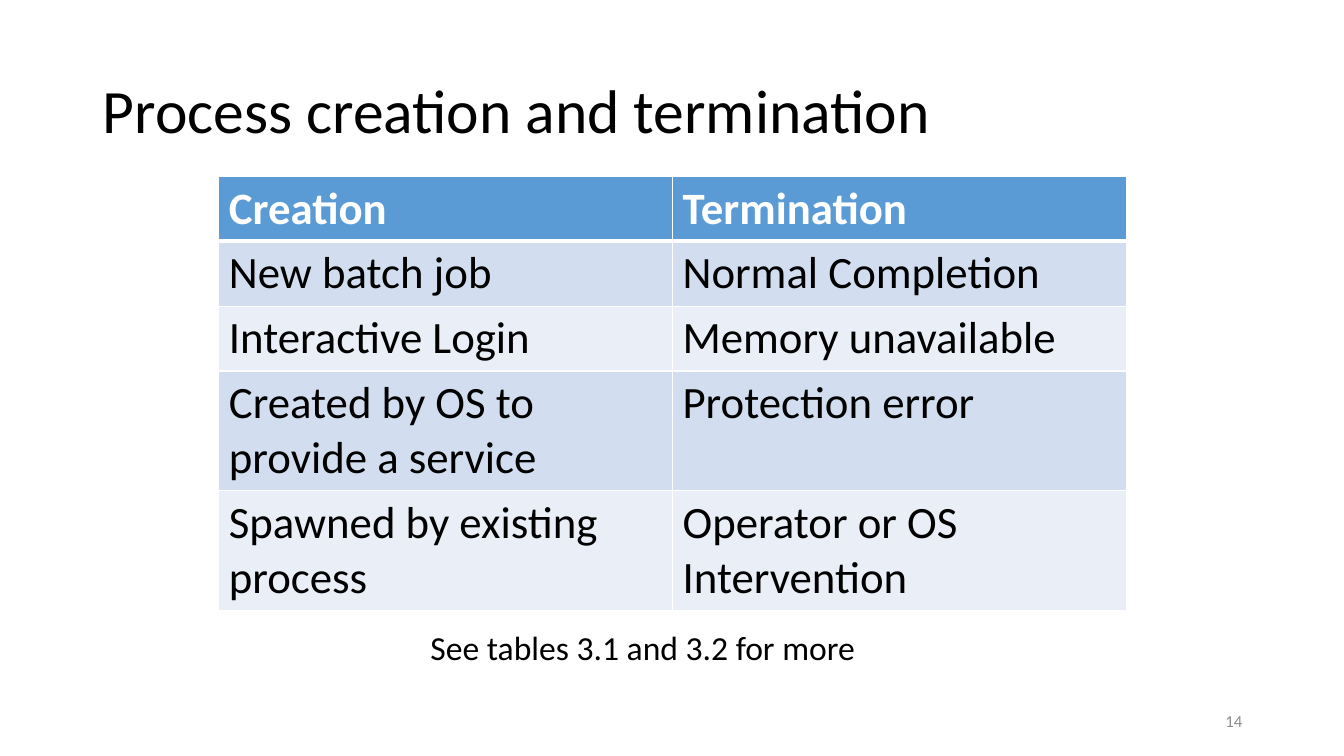
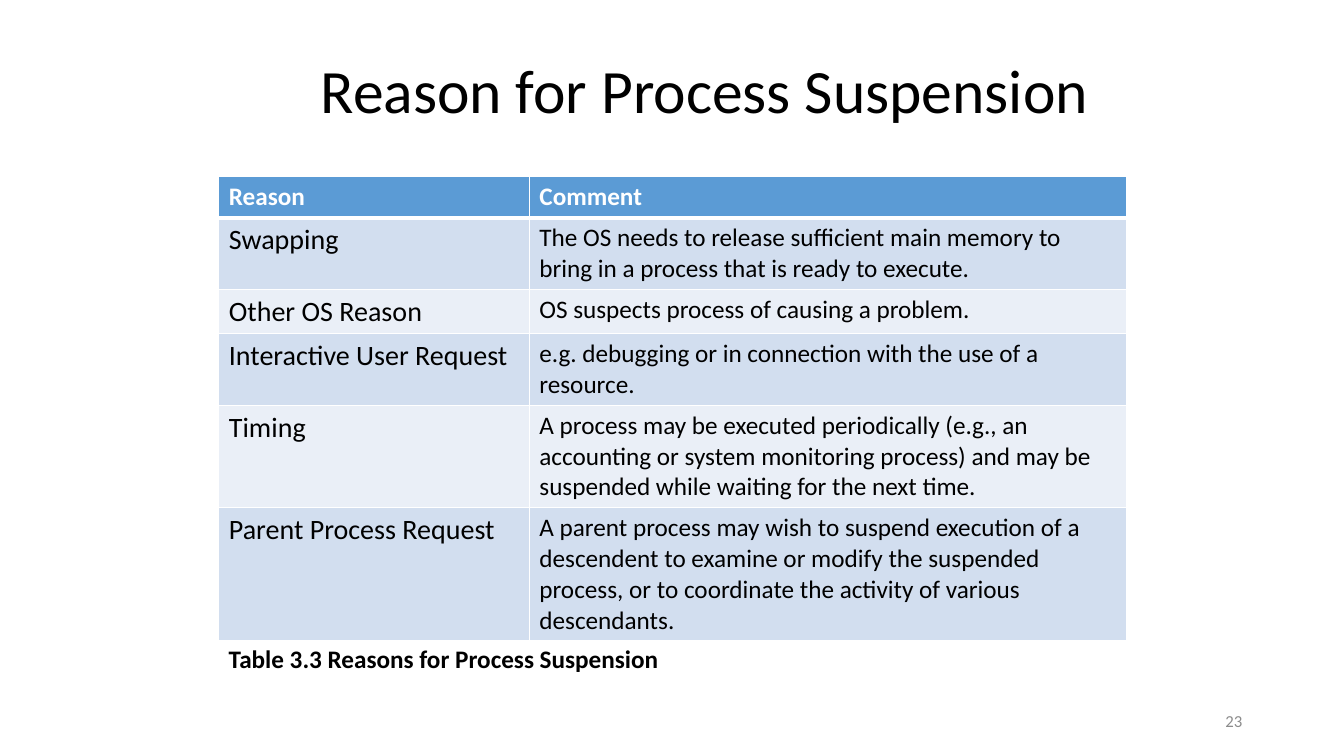
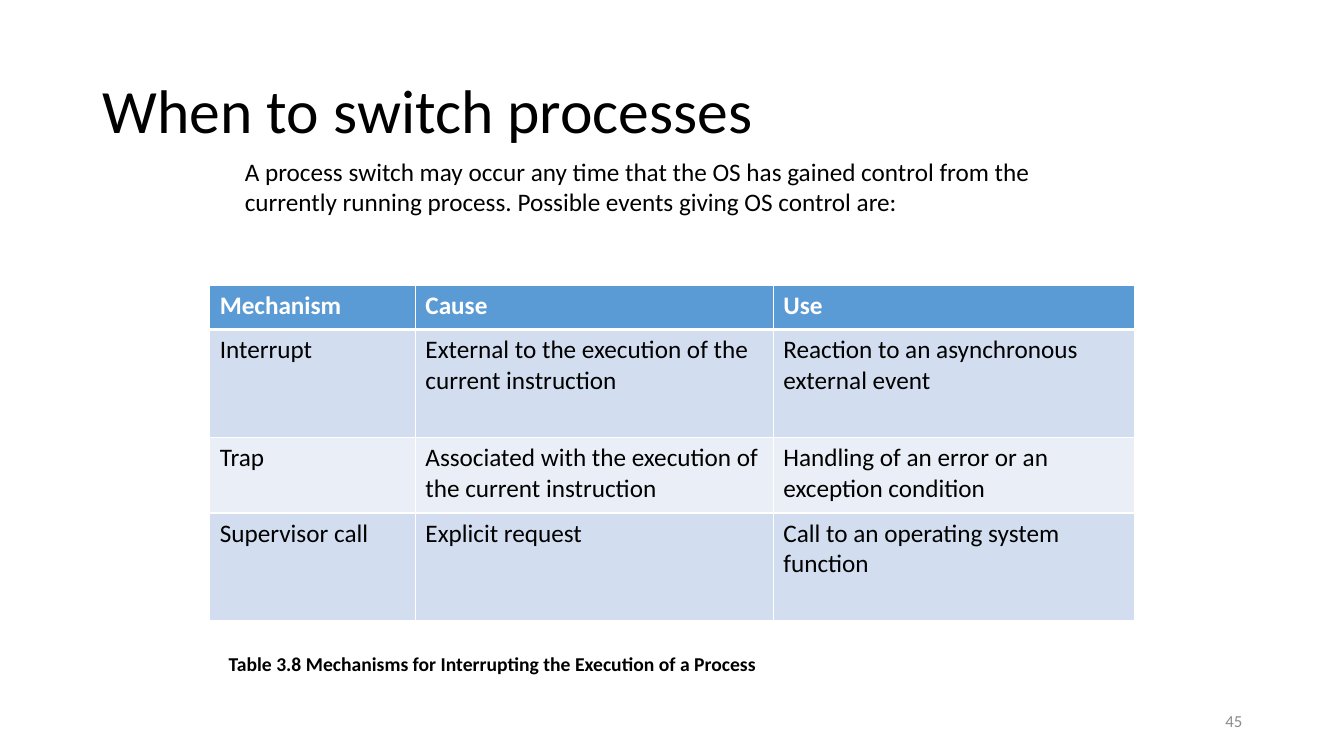
from lxml import etree
from pptx import Presentation
from pptx.dml.color import RGBColor
from pptx.enum.text import MSO_ANCHOR, MSO_AUTO_SIZE, PP_ALIGN
from pptx.oxml.ns import qn
from pptx.util import Inches, Pt

LEFT, RIGHT = PP_ALIGN.LEFT, PP_ALIGN.RIGHT
TOP, MIDDLE = MSO_ANCHOR.TOP, MSO_ANCHOR.MIDDLE
NO_FIT, GROW = MSO_AUTO_SIZE.NONE, MSO_AUTO_SIZE.SHAPE_TO_FIT_TEXT
TITLE_ONLY = 5

FONT = "Calibri"
COLORS = {
    "text": "000000",
    "white": "FFFFFF",
    "header": "5B9BD5",
    "band_dark": "D2DEEF",
    "band_light": "EAEFF7",
    "number": "8C8C8C",
}
TITLE_BOX = (0.92, 0.4, 11.5, 1.45)
NUMBER_BOX = (9.42, 6.95, 3, 0.4)
RULE, HEADER_RULE = 1, 3

CREATION_ROWS = [
    ("Creation", "Termination"),
    ("New batch job", "Normal Completion"),
    ("Interactive Login", "Memory unavailable"),
    ("Created by OS to provide a service", "Protection error"),
    ("Spawned by existing process", "Operator or OS Intervention"),
]
SUSPENSION_ROWS = [
    ("Reason", "Comment"),
    ("Swapping", "The OS needs to release sufficient main memory to bring in a "
                 "process that is ready to execute."),
    ("Other OS Reason", "OS suspects process of causing a problem."),
    ("Interactive User Request", "e.g. debugging or in connection with the use of "
                                 "a resource."),
    ("Timing", "A process may be executed periodically (e.g., an accounting or "
               "system monitoring process) and may be suspended while waiting "
               "for the next time."),
    ("Parent Process Request", "A parent process may wish to suspend execution of a "
                               "descendent to examine or modify the suspended "
                               "process, or to coordinate the activity of various "
                               "descendants."),
]
# A line break inside a cell starts a new paragraph
SWITCH_ROWS = [
    ("Mechanism", "Cause", "Use"),
    ("Interrupt", "External to the execution of the current instruction",
     "Reaction to an asynchronous\nexternal event"),
    ("Trap", "Associated with the execution of the current instruction",
     "Handling of an error or an\nexception condition"),
    ("Supervisor call", "Explicit request",
     "Call to an operating system\nfunction"),
]


def color(name):
    return RGBColor.from_string(COLORS[name])


def write(tf, text, size, ink="text", bold=False, align=LEFT, spacing=None):
    for i, line in enumerate(text.split("\n")):
        p = tf.paragraphs[0] if i == 0 else tf.add_paragraph()
        p.alignment = align
        if spacing:
            p.line_spacing = spacing
        r = p.add_run()
        r.text = line
        r.font.name, r.font.size, r.font.bold = FONT, Pt(size), bold
        r.font.color.rgb = color(ink)


def add_text(s, box, text, size, anchor=TOP, fit=GROW, **style):
    sp = s.shapes.add_textbox(*map(Inches, box))
    tf = sp.text_frame
    tf.word_wrap, tf.auto_size, tf.vertical_anchor = True, fit, anchor
    write(tf, text, size, **style)


def set_borders(cell, top, bottom):
    tc_pr = cell._tc.get_or_add_tcPr()
    for tag, width in (("lnL", RULE), ("lnR", RULE), ("lnT", top), ("lnB", bottom)):
        ln = etree.SubElement(tc_pr, qn("a:" + tag), w=str(Pt(width)))
        fill = etree.SubElement(ln, qn("a:solidFill"))
        etree.SubElement(fill, qn("a:srgbClr"), val=COLORS["white"])


def add_banded_table(s, box, rows, widths, heights, sizes, header_size):
    frame = s.shapes.add_table(len(rows), len(widths), *map(Inches, box))
    table = frame.table
    table.horz_banding = False
    for column, width in zip(table.columns, widths):
        column.width = Inches(width)
    for row, height in zip(table.rows, heights):
        row.height = Inches(height)
    frame.height = Inches(box[3])
    for i, texts in enumerate(rows):
        is_header = i == 0
        band = "header" if is_header else "band_dark" if i % 2 else "band_light"
        for j, text in enumerate(texts):
            cell = table.cell(i, j)
            set_borders(cell, HEADER_RULE if i == 1 else RULE,
                        HEADER_RULE if is_header else RULE)
            cell.fill.solid()
            cell.fill.fore_color.rgb = color(band)
            write(cell.text_frame, text, header_size if is_header else sizes[j],
                  ink="white" if is_header else "text", bold=is_header)


def add_titled_slide(prs, title, number, box=TITLE_BOX):
    s = prs.slides.add_slide(prs.slide_layouts[TITLE_ONLY])
    sp = s.shapes.title
    sp.left, sp.top, sp.width, sp.height = map(Inches, box)
    tf = sp.text_frame
    tf.word_wrap, tf.auto_size, tf.vertical_anchor = True, NO_FIT, MIDDLE
    write(tf, title, 44, spacing=0.9)
    add_text(s, NUMBER_BOX, str(number), 12, anchor=MIDDLE, fit=NO_FIT,
             ink="number", align=RIGHT)
    return s


def creation_slide(prs):
    s = add_titled_slide(prs, "Process creation and termination", 14)
    add_banded_table(s, (2.17, 1.75, 9, 4.23), CREATION_ROWS, (4.5, 4.5),
                     [0.41] * len(CREATION_ROWS), (32, 32), 32)
    add_text(s, (4.17, 6.17, 4.99, 0.5), "See tables 3.1 and 3.2 for more", 24)


def suspension_slide(prs):
    s = add_titled_slide(prs, "Reason for Process Suspension", 23,
                         (3.08, 0.3, 8.08, 1.25))
    add_banded_table(s, (2.17, 1.75, 9, 4.54), SUSPENSION_ROWS, (3.08, 5.92),
                     [0.41] * len(SUSPENSION_ROWS), (20, 18), 18)
    add_text(s, (2.17, 6.33, 8.75, 0.42),
             "Table 3.3 Reasons for Process Suspension", 18, bold=True)


def switch_slide(prs):
    s = add_titled_slide(prs, "When to switch processes", 45)
    add_banded_table(s, (2.08, 2.83, 9.17, 3.33), SWITCH_ROWS, (2.04, 3.55, 3.58),
                     (0.44, 1.07, 0.75, 1.07), (18, 18, 18), 18)
    add_text(s, (2.17, 6.42, 8.5, 0.34),
             "Table 3.8 Mechanisms for Interrupting the Execution of a Process",
             14, bold=True)
    add_text(s, (2.33, 1.5, 8.83, 0.71),
             "A process switch may occur any time that the OS has gained control "
             "from the currently running process. Possible events giving OS "
             "control are:", 18)


def main():
    prs = Presentation()
    prs.slide_width, prs.slide_height = Inches(13.33), Inches(7.5)
    creation_slide(prs)
    suspension_slide(prs)
    switch_slide(prs)
    prs.save("out.pptx")


if __name__ == "__main__":
    main()
